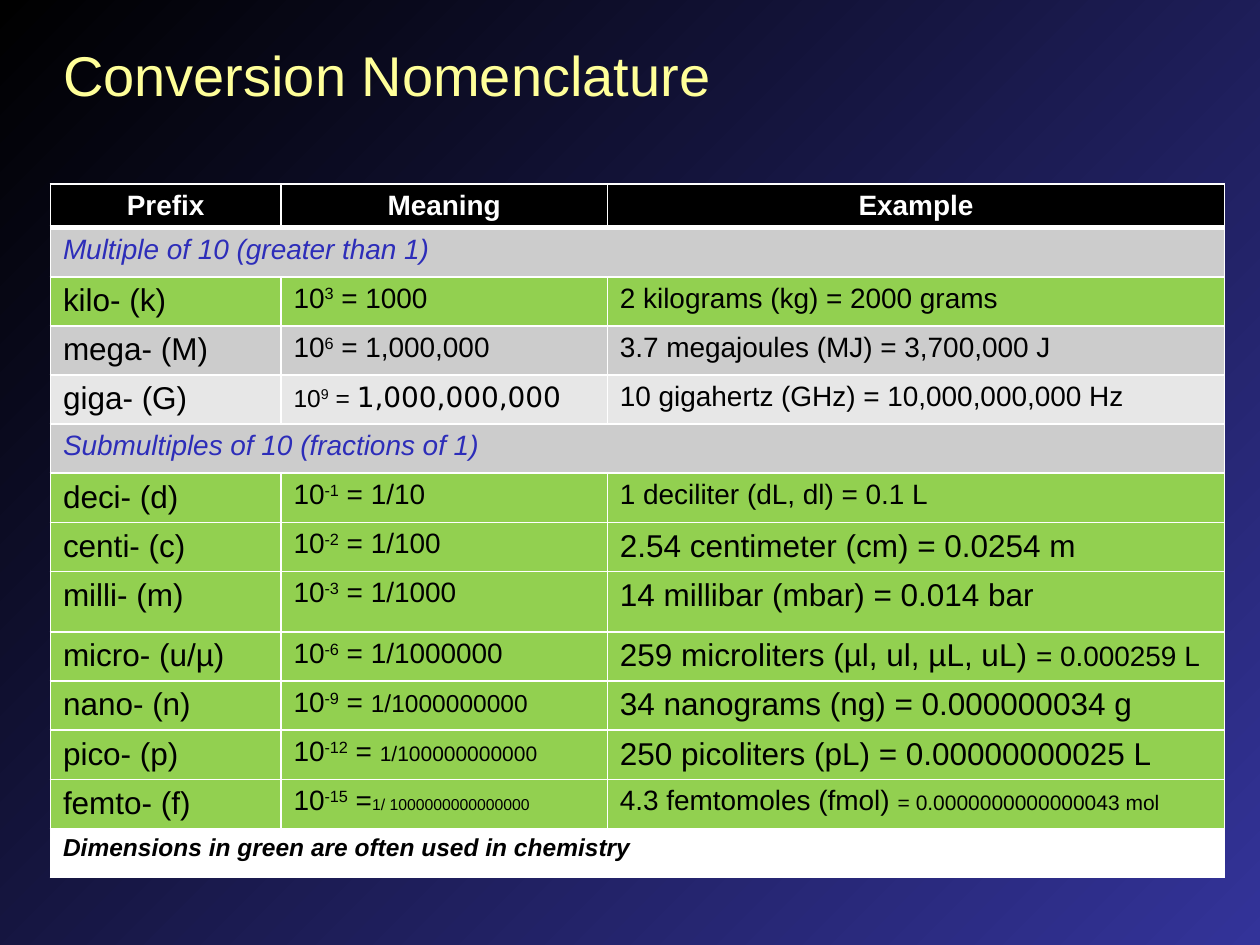
from lxml import etree
from pptx import Presentation
from pptx.dml.color import RGBColor
from pptx.enum import text
from pptx.oxml import ns
from pptx.util import Inches, Pt

BLACK = RGBColor(0x00, 0x00, 0x00)
WHITE = RGBColor(0xFF, 0xFF, 0xFF)
NAVY = RGBColor(0x33, 0x33, 0x99)
YELLOW = RGBColor(0xFF, 0xFF, 0x99)
BLUE = RGBColor(0x2D, 0x2D, 0xB9)
GREEN = RGBColor(0x92, 0xD0, 0x50)
GRAY = RGBColor(0xCC, 0xCC, 0xCC)
LIGHT = RGBColor(0xE7, 0xE7, 0xE7)


def add_run(p, txt, size=16, color=BLACK, font="Arial", bold=False, italic=False, sup=False):
    r = p.add_run()
    r.text = txt
    r.font.size = Pt(size)
    r.font.name = font
    r.font.bold = bold
    r.font.italic = italic
    r.font.color.rgb = color
    if sup:
        r._r.get_or_add_rPr().set("baseline", "30000")


def style_cell(cell, fill, bottom=1):
    tcPr = cell._tc.get_or_add_tcPr()
    for side, width in (("L", 1), ("R", 1), ("T", 1), ("B", bottom)):
        ln = etree.SubElement(tcPr, ns.qn("a:ln" + side), w=str(Pt(width)))
        sf = etree.SubElement(ln, ns.qn("a:solidFill"))
        etree.SubElement(sf, ns.qn("a:srgbClr"), val=str(WHITE))
    cell.fill.solid()
    cell.fill.fore_color.rgb = fill


prs = Presentation()
prs.slide_width, prs.slide_height = Inches(10), Inches(7.5)
s = prs.slides.add_slide(prs.slide_layouts[5])

bg = s.background.fill
bg.gradient()
bg.gradient_angle = 315
for stop, pos, color in zip(bg.gradient_stops, (0, 1), (BLACK, NAVY)):
    stop.position = pos
    stop.color.rgb = color

title = s.shapes.title
title.left, title.top = Inches(0.4), Inches(0.27)
title.width, title.height = Inches(9.21), Inches(0.64)
tf = title.text_frame
tf.vertical_anchor = text.MSO_ANCHOR.MIDDLE
p = tf.paragraphs[0]
p.alignment = text.PP_ALIGN.LEFT
add_run(p, "Conversion Nomenclature", size=32, color=YELLOW)

headers = ["Prefix", "Meaning", "Example"]
section = dict(color=BLUE, italic=True)
note = dict(size=14, bold=True, italic=True)
# fill, then either (banner, format) or (prefix, base size, exponent, equals, value, value format, example runs)
rows = [
    (GRAY, "Multiple of 10 (greater than 1)", section),
    (GREEN, "kilo- (k)", 16, "3", " = ", "1000", {}, [("2 kilograms (kg) = 2000 grams", 16)]),
    (GRAY, "mega- (M)", 16, "6", " = ", "1,000,000", {}, [("3.7 megajoules (MJ) = 3,700,000 J", 16)]),
    (LIGHT, "giga- (G)", 14, "9", " = ", "1,000,000,000", dict(font="DejaVu Sans"),
     [("10 gigahertz (GHz) = 10,000,000,000 Hz", 16)]),
    (GRAY, "Submultiples of 10 (fractions of 1)", section),
    (GREEN, "deci- (d)", 16, "-1", " = ", "1/10", {}, [("1 deciliter (dL, dl) = 0.1 L", 16)]),
    (GREEN, "centi- (c)", 16, "-2", " = ", "1/100", {}, [("2.54 centimeter (cm) = 0.0254 m", 18)]),
    (GREEN, "milli- (m)", 16, "-3", " = ", "1/1000", {}, [("14 millibar (mbar) = 0.014 bar", 18)]),
    (GREEN, "micro- (u/µ)", 16, "-6", " = ", "1/1000000", {},
     [("259 microliters (µl, ul, µL, uL) ", 18), ("= 0.000259 L", 16)]),
    (GREEN, "nano- (n)", 16, "-9", " = ", "1/1000000000", dict(size=14),
     [("34 nanograms (ng) = 0.000000034 g", 18)]),
    (GREEN, "pico- (p)", 16, "-12", " = ", "1/100000000000", dict(size=12),
     [("250 picoliters (pL) = 0.00000000025 L", 18)]),
    (GREEN, "femto- (f)", 16, "-15", " =", "1/ 1000000000000000", dict(size=9),
     [("4.3 femtomoles (fmol) ", 16), ("= 0.0000000000000043 mol", 12)]),
    (WHITE, "Dimensions in green are often used in chemistry", note),
]

heights = [0.33] + [0.39] * 7 + [0.48] + [0.39] * 5
tbl = s.shapes.add_table(len(heights), 3, Inches(0.4), Inches(1.46),
                         Inches(9.32), Inches(sum(heights))).table
tbl.horz_banding = False
for col, width in zip(tbl.columns, (1.83, 2.59, 4.9)):
    col.width = Inches(width)
for row, height in zip(tbl.rows, heights):
    row.height = Inches(height)

for c, header in enumerate(headers):
    cell = tbl.cell(0, c)
    style_cell(cell, BLACK, bottom=3)
    if c < 2:
        cell.vertical_anchor = text.MSO_ANCHOR.BOTTOM
    p = cell.text_frame.paragraphs[0]
    p.alignment = text.PP_ALIGN.CENTER
    add_run(p, header, color=WHITE, bold=True)

for i, (fill, label, *rest) in enumerate(rows, 1):
    cells = [tbl.cell(i, c) for c in range(3)]
    for cell in cells:
        style_cell(cell, fill)
    first, meaning, example = [cell.text_frame.paragraphs[0] for cell in cells]
    if len(rest) == 1:
        cells[0].merge(cells[2])
        add_run(first, label, **rest[0])
        continue
    size, exponent, equals, value, fmt, runs = rest
    add_run(first, label, size=18)
    add_run(meaning, "10", size=size)
    add_run(meaning, exponent, size=size, sup=True)
    add_run(meaning, equals, size=size)
    add_run(meaning, value, **fmt)
    for txt, sz in runs:
        add_run(example, txt, size=sz)

prs.save("out.pptx")
